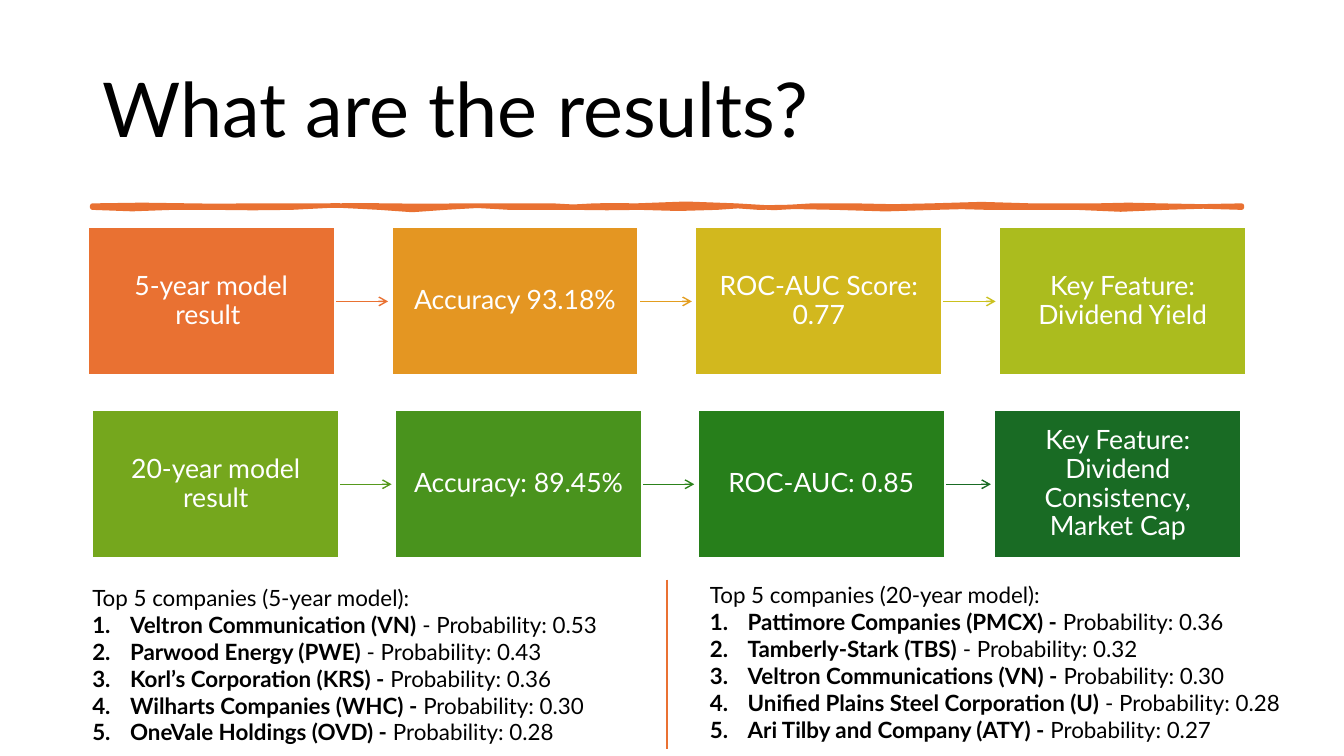
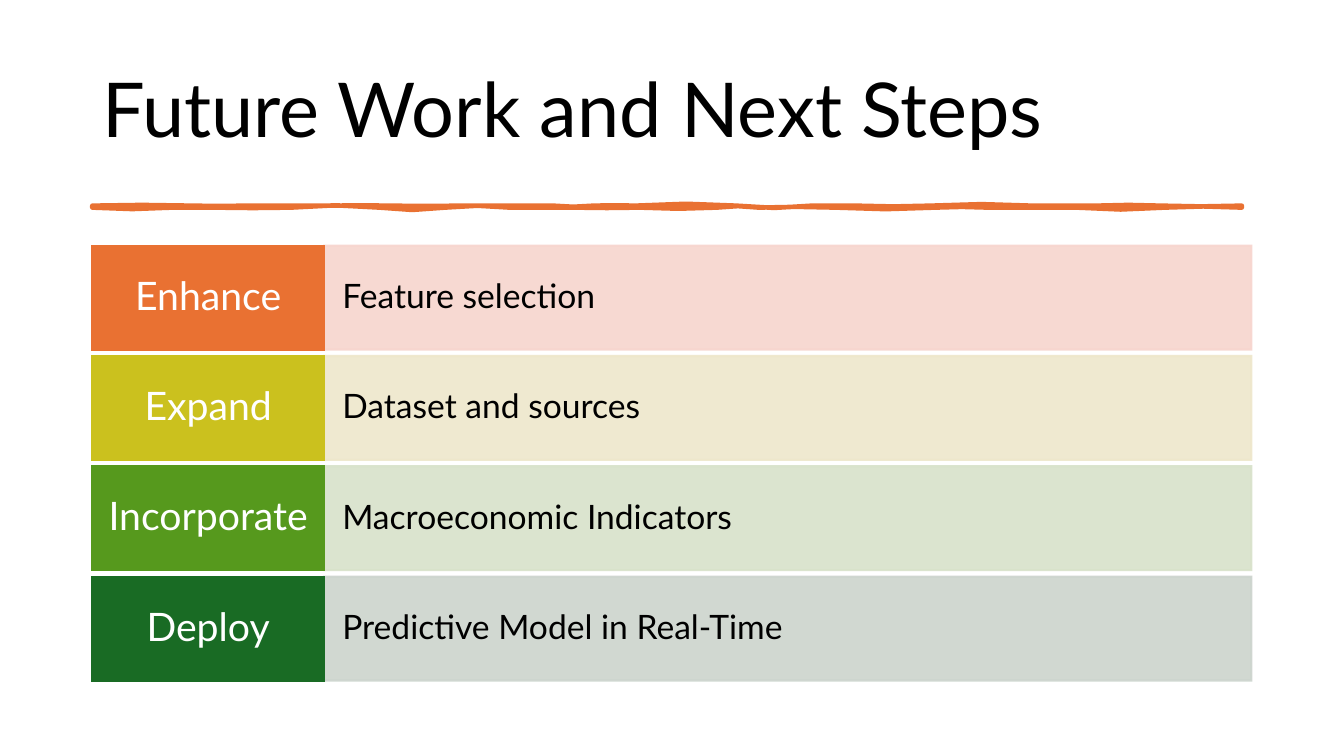
from dataclasses import dataclass

import lxml.etree
import pptx
import pptx.dml.color
import pptx.enum.shapes
import pptx.enum.text
import pptx.oxml.ns
import pptx.presentation
import pptx.shapes.autoshape
import pptx.shapes.connector
import pptx.slide
import pptx.text.text
import pptx.util

Pt = pptx.util.Pt
qn = pptx.oxml.ns.qn
ALIGN = pptx.enum.text.PP_ALIGN
ANCHOR = pptx.enum.text.MSO_ANCHOR

FONT = "Lato"
BLACK, WHITE, ORANGE = "000000", "FFFFFF", "E97132"
TITLE_ONLY, TWO_CONTENT = 5, 3
MARGIN = 65.9

STROKE_TOP, STROKE_BOTTOM = 146.9, 148.3
# Each curve of the brush stroke: end x, then the vertical pull of its two handles.
STROKE_TOP_EDGE = [
    (137, 0, -1.4), (176, 1.4, -0.7), (238, 0.7, -0.7), (277, 0.7, -1.4),
    (331, 1.4, -0.7), (395, 0.7, -0.7), (424, 0.7, 1.4), (454, -1.4, 0.7),
    (526, -0.7, -2.9), (580, 2.9, 1.4), (611, -1.4, 1.4), (665, -1.4, 2.9),
    (737, -2.9, 0), (783, 0, 0), (829, 0, -1.4), (887, 1.4, 0),
]
STROKE_BOTTOM_EDGE = [
    (832, 0, -2.2), (769, 2.2, 1.4), (706, -1.4, 1.4), (668, -1.4, 0),
    (597, 0, 2.9), (542, -2.9, 1.4), (512, -1.4, -1.4), (457, 1.4, 0.7),
    (410, -0.7, 1.4), (364, -1.4, 1.4), (318, -1.4, -2.2), (271, 2.2, 2.2),
    (208, -2.2, -2.2), (153, 2.2, -1.4), (123, 1.4, -1.4), (MARGIN, 1.4, 1.4),
]


@dataclass(frozen=True)
class Box:
    left: float
    top: float
    width: float
    height: float

    def lengths(self) -> list[pptx.util.Length]:
        return [Pt(value) for value in (self.left, self.top, self.width, self.height)]


@dataclass(frozen=True)
class TextStyle:
    size: float
    color: str
    align: ALIGN
    inset_x: float
    inset_y: float


@dataclass(frozen=True)
class ModelRow:
    top: float
    lefts: list[float]
    texts: list[str]
    fills: list[str]
    arrows: list[str]


@dataclass(frozen=True)
class Ranking:
    box: Box
    heading: str
    companies: list[tuple[str, str]]


@dataclass(frozen=True)
class Step:
    action: str
    detail: str
    color: str
    tint: str


TITLE_BOX = Box(MARGIN, 28.8, 828, 104.4)
RESULT_STYLE = TextStyle(19, WHITE, ALIGN.CENTER, 8.6, 9.4)
ACTION_STYLE = TextStyle(28, WHITE, ALIGN.CENTER, 8.6, 7.2)
DETAIL_STYLE = TextStyle(24, BLACK, ALIGN.LEFT, 13, 18.7)
RESULT_WIDTH, RESULT_HEIGHT = 176.4, 105.8

MODEL_ROWS = [
    ModelRow(
        162.4,
        [62.7 + 217 * column for column in range(4)],
        ["5-year model result ", "Accuracy 93.18%", "ROC-AUC Score: 0.77",
         "Key Feature: Dividend Yield"],
        [ORANGE, "E49622", "D2B81E", "ABBC1E"],
        [ORANGE, "E39D1F", "CBC11E"],
    ),
    ModelRow(
        293,
        [MARGIN, 282.2, 498.4, 710.3],
        ["20-year model result", "Accuracy: 89.45%", "ROC-AUC: 0.85",
         "Key Feature: Dividend Consistency, Market Cap"],
        ["75A71D", "49931D", "277F1B", "196B24"],
        ["56991D", "2C821B", "196B24"],
    ),
]

RANKINGS = [
    Ranking(Box(58.7, 413.7, 490.3, 123.8), "Top 5 companies (5-year model):", [
        ("Veltron Communication (VN)", " - Probability: 0.53"),
        ("Parwood Energy (PWE)", " - Probability: 0.43"),
        ("Korl’s Corporation (KRS) -", " Probability: 0.36"),
        ("Wilharts Companies (WHC) -", " Probability: 0.30"),
        ("OneVale Holdings (OVD) -", " Probability: 0.28"),
    ]),
    Ranking(Box(499.9, 411.8, 480.2, 123.8), "Top 5 companies (20-year model):", [
        ("Pattimore Companies (PMCX) -", " Probability: 0.36"),
        ("Tamberly-Stark (TBS)", " - Probability: 0.32"),
        ("Veltron Communications (VN) -", " Probability: 0.30"),
        ("Unified Plains Steel Corporation (U)", " - Probability: 0.28"),
        ("Ari Tilby and Company (ATY) -", " Probability: 0.27"),
    ]),
]

STEPS = [
    Step("Enhance", "Feature selection", ORANGE, "F7D5CE"),
    Step("Expand", "Dataset and sources", "CBC11E", "EEE7CB"),
    Step("Incorporate", "Macroeconomic Indicators", "56991D", "D8E2CA"),
    Step("Deploy", "Predictive Model in Real-Time", "196B24", "CCD4CD"),
]


def rgb(color: str) -> pptx.dml.color.RGBColor:
    return pptx.dml.color.RGBColor.from_string(color)


def set_font(para: pptx.text.text._Paragraph, size: float, color: str) -> None:
    para.font.name = FONT
    para.font.size = Pt(size)
    para.font.color.rgb = rgb(color)


def place(shape: pptx.shapes.autoshape.Shape, box: Box) -> None:
    shape.left, shape.top, shape.width, shape.height = box.lengths()


def paint(shape: pptx.shapes.autoshape.Shape, fill: str, line: str, width: float,
          join: str) -> None:
    shape.shadow.inherit = False
    shape.fill.solid()
    shape.fill.fore_color.rgb = rgb(fill)
    shape.line.color.rgb = rgb(line)
    shape.line.width = Pt(width)
    lxml.etree.SubElement(shape.element.spPr.find(qn("a:ln")), qn(join))


def edge_points(start: float, level: float,
                curves: list[tuple[float, float, float]]) -> list[tuple[int, int]]:
    """Flatten cubic curves whose ends all lie on one level."""
    steps = 2
    points = [(Pt(start), Pt(level))]
    for end, first_pull, second_pull in curves:
        for step in range(1, steps + 1):
            t = step / steps
            rise = 3 * t * (1 - t) * (first_pull * (1 - t) + second_pull * t)
            points.append((Pt(start + (end - start) * t), Pt(level + rise)))
        start = end
    return points


def add_brush_stroke(page: pptx.slide.Slide) -> None:
    right = STROKE_TOP_EDGE[-1][0]
    points = edge_points(MARGIN, STROKE_TOP, STROKE_TOP_EDGE)
    points += edge_points(right, STROKE_BOTTOM, STROKE_BOTTOM_EDGE)
    builder = page.shapes.build_freeform(*points[0])
    builder.add_line_segments(points[1:], close=True)
    paint(builder.convert_to_shape(), ORANGE, ORANGE, 3.25, "a:round")


def add_page(deck: pptx.presentation.Presentation, layout: int, title: str) -> pptx.slide.Slide:
    page = deck.slides.add_slide(deck.slide_layouts[layout])
    place(page.shapes.title, TITLE_BOX)
    frame = page.shapes.title.text_frame
    frame.text = title
    frame.auto_size = pptx.enum.text.MSO_AUTO_SIZE.NONE
    frame.vertical_anchor = ANCHOR.MIDDLE
    para = frame.paragraphs[0]
    para.alignment = ALIGN.LEFT
    para.line_spacing = 0.9
    set_font(para, 54, BLACK)
    add_brush_stroke(page)
    return page


def add_panel(page: pptx.slide.Slide, box: Box, text: str, style: TextStyle,
              fill: str, line: str) -> pptx.shapes.autoshape.Shape:
    panel = page.shapes.add_shape(pptx.enum.shapes.MSO_SHAPE.RECTANGLE, *box.lengths())
    paint(panel, fill, line, 1.5, "a:miter")
    frame = panel.text_frame
    frame.word_wrap = True
    frame.vertical_anchor = ANCHOR.MIDDLE
    frame.margin_left = frame.margin_right = Pt(style.inset_x)
    frame.margin_top = frame.margin_bottom = Pt(style.inset_y)
    frame.text = text
    para = frame.paragraphs[0]
    para.alignment = style.align
    para.line_spacing = 0.9
    set_font(para, style.size, style.color)
    return panel


def set_opacity(shape: pptx.shapes.autoshape.Shape, percent: int) -> None:
    for color in shape.element.spPr.iter(qn("a:srgbClr")):
        lxml.etree.SubElement(color, qn("a:alpha"), val=str(percent * 1000))


def add_line(page: pptx.slide.Slide, start: tuple[float, float], end: tuple[float, float],
             color: str, width: float) -> pptx.shapes.connector.Connector:
    line = page.shapes.add_connector(
        pptx.enum.shapes.MSO_CONNECTOR.STRAIGHT, *[Pt(value) for value in start + end])
    line.line.color.rgb = rgb(color)
    line.line.width = Pt(width)
    lxml.etree.SubElement(line.element.spPr, qn("a:effectLst"))
    return line


def add_model_row(page: pptx.slide.Slide, row: ModelRow) -> None:
    middle = row.top + RESULT_HEIGHT / 2
    for left, following, color in zip(row.lefts, row.lefts[1:], row.arrows):
        arrow = add_line(page, (left + RESULT_WIDTH, middle), (following - 2.5, middle), color, 1)
        lxml.etree.SubElement(
            arrow.element.spPr.find(qn("a:ln")), qn("a:tailEnd"), type="arrow")
    for left, text, fill in zip(row.lefts, row.texts, row.fills):
        box = Box(left, row.top, RESULT_WIDTH, RESULT_HEIGHT)
        add_panel(page, box, text, RESULT_STYLE, fill, WHITE)


def set_numbering(para: pptx.text.text._Paragraph, numbered: bool) -> None:
    indent = Pt(27) if numbered else 0
    properties = para._p.get_or_add_pPr()
    properties.set("marL", str(indent))
    properties.set("indent", str(-indent))
    if numbered:
        lxml.etree.SubElement(properties, qn("a:buFont"), typeface="+mj-lt")
        lxml.etree.SubElement(properties, qn("a:buAutoNum"), type="arabicPeriod")
    else:
        lxml.etree.SubElement(properties, qn("a:buNone"))


def fill_ranking(body: pptx.shapes.autoshape.Shape, ranking: Ranking) -> None:
    place(body, ranking.box)
    frame = body.text_frame
    frame.auto_size = pptx.enum.text.MSO_AUTO_SIZE.NONE
    frame.vertical_anchor = ANCHOR.TOP
    frame.text = ranking.heading
    for company, probability in ranking.companies:
        para = frame.add_paragraph()
        for text, bold in ((company, True), (probability, False)):
            span = para.add_run()
            span.text = text
            span.font.bold = bold
    for position, para in enumerate(frame.paragraphs):
        para.space_before = Pt(0)
        set_numbering(para, numbered=position > 0)
        set_font(para, 16, BLACK)


def add_results_page(deck: pptx.presentation.Presentation) -> None:
    page = add_page(deck, TWO_CONTENT, "What are the results?")
    for row in MODEL_ROWS:
        add_model_row(page, row)
    for index, ranking in enumerate(RANKINGS, start=1):
        fill_ranking(page.placeholders[index], ranking)
    add_line(page, (476.6, 414), (476.6, 535), "EA7132", 1.5)


def add_next_steps_page(deck: pptx.presentation.Presentation) -> None:
    page = add_page(deck, TITLE_ONLY, "Future Work and Next Steps")
    action_width, detail_width, height = 165.6, 662.4, 74.2
    for index, step in enumerate(STEPS):
        top = 175.5 + 78.8 * index
        detail_box = Box(MARGIN + action_width, top, detail_width, height)
        detail = add_panel(page, detail_box, step.detail, DETAIL_STYLE, step.tint, step.tint)
        set_opacity(detail, 90)
        action_box = Box(MARGIN, top, action_width, height)
        add_panel(page, action_box, step.action, ACTION_STYLE, step.color, step.color)


def main() -> None:
    deck = pptx.Presentation()
    deck.slide_width, deck.slide_height = Pt(960), Pt(540)
    add_results_page(deck)
    add_next_steps_page(deck)
    deck.save("out.pptx")


if __name__ == "__main__":
    main()
